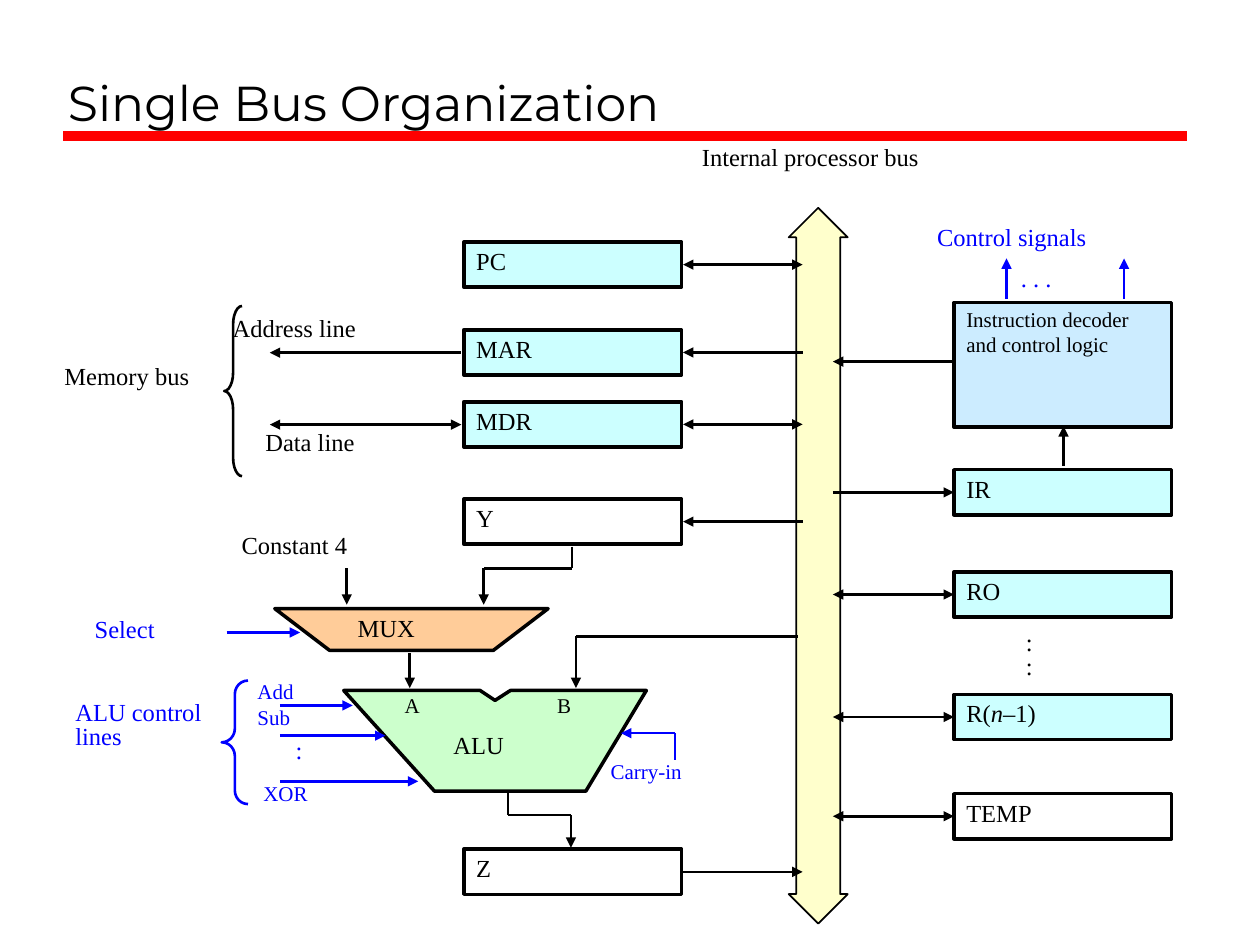
from dataclasses import dataclass

from lxml import etree
from pptx import Presentation
from pptx.dml.color import RGBColor
from pptx.enum.shapes import MSO_CONNECTOR, MSO_SHAPE
from pptx.enum.text import MSO_ANCHOR, PP_ALIGN
from pptx.oxml.ns import qn
from pptx.util import Cm, Pt

STRAIGHT = MSO_CONNECTOR.STRAIGHT
RECT, BRACE = MSO_SHAPE.RECTANGLE, MSO_SHAPE.LEFT_BRACE
BUS_ARROW, MUX_SHAPE = MSO_SHAPE.UP_DOWN_ARROW, MSO_SHAPE.FLOWCHART_MANUAL_OPERATION
TOP, BOTTOM, LEFT = MSO_ANCHOR.TOP, MSO_ANCHOR.BOTTOM, PP_ALIGN.LEFT


@dataclass(frozen=True)
class Theme:
    title_font: str = "Montserrat"
    body_font: str = "Times New Roman"
    title_size: int = 28
    body_size: int = 14
    small_size: int = 12
    ink: str = "000000"
    control: str = "0000FF"
    rule: str = "FF0000"
    bus: str = "FFFFCC"
    register: str = "CCFFFF"
    plain: str = "FFFFFF"
    decoder: str = "CCECFF"
    mux: str = "FFCC99"
    alu: str = "CCFFCC"
    outline: float = 2
    wire: float = 1.5


THEME = Theme()
BLOCK_W, BLOCK_H = 4.39, 0.91
BLOCK_INSET, LABEL_INSET = (0.25, 0.08), (0.03, 0.03)


def write(frame, text, size=THEME.body_size, color=THEME.ink, font=THEME.body_font,
          inset=BLOCK_INSET, spacing=None, anchor=TOP):
    frame.text = text
    frame.word_wrap = True
    frame.vertical_anchor = anchor
    frame.margin_left = frame.margin_right = Cm(inset[0])
    frame.margin_top = frame.margin_bottom = Cm(inset[1])
    for paragraph in frame.paragraphs:
        paragraph.alignment = LEFT
        if spacing:
            paragraph.line_spacing = spacing
        for run in paragraph.runs:
            style(run, size, color, font)


def style(run, size, color, font):
    run.font.size, run.font.name = Pt(size), font
    run.font.color.rgb = RGBColor.from_string(color)


def paint(shape, fill, color=THEME.ink, width=THEME.outline):
    shape.shadow.inherit = False
    if fill:
        shape.fill.solid()
        shape.fill.fore_color.rgb = RGBColor.from_string(fill)
    else:
        shape.fill.background()
    shape.line.color.rgb = RGBColor.from_string(color)
    shape.line.width = Pt(width)


@dataclass
class Region:
    """A box on the slide, in cm; its parts are placed from its top left corner."""
    shapes: object
    left: float
    top: float
    width: float
    height: float

    def at(self, x, y):
        return Cm(self.left + x), Cm(self.top + y)

    def shape(self, kind, x, y, w, h, fill, **line):
        part = self.shapes.add_shape(kind, *self.at(x, y), Cm(w), Cm(h))
        paint(part, fill, **line)
        return part

    def block(self, text, x, y, fill, h=BLOCK_H, size=THEME.body_size):
        part = self.shape(RECT, x, y, BLOCK_W, h, fill)
        write(part.text_frame, text, size)
        return part

    def label(self, text, x, y, w, h=0.58, inset=LABEL_INSET, spacing=0.8, **font):
        part = self.shapes.add_textbox(*self.at(x, y), Cm(w), Cm(h))
        write(part.text_frame, text, inset=inset, spacing=spacing, **font)

    def brace(self, x, y, w, h, curve, color=THEME.ink):
        part = self.shape(BRACE, x, y, w, h, None, color=color, width=THEME.wire)
        part.adjustments[0] = curve

    def wire(self, *points, ends="tail", color=THEME.ink, width=THEME.wire):
        """Straight runs through the points; ends names the arrowheads."""
        last = len(points) - 2
        for i, (start, end) in enumerate(zip(points, points[1:])):
            run = self.shapes.add_connector(STRAIGHT, *self.at(*start), *self.at(*end))
            run.line.color.rgb = RGBColor.from_string(color)
            run.line.width = Pt(width)
            line = run.line._get_or_add_ln()
            for name, here in (("head", i == 0), ("tail", i == last)):
                if here and name in ends.split():
                    etree.SubElement(line, qn(f"a:{name}End"), type="triangle")
            etree.SubElement(run._element.spPr, qn("a:effectLst"))


def draw_title(slide, box):
    title = slide.shapes.title
    title.left, title.top = box.at(0, 0)
    title.width, title.height = Cm(box.width), Cm(box.height)
    write(title.text_frame, "Single Bus Organization", THEME.title_size,
          font=THEME.title_font, inset=(0.25, 0.13), anchor=BOTTOM)
    box.wire((0.15, 2.31), (22.81, 2.31), ends="", color=THEME.rule, width=6)


def draw_bus(box):
    arrow = box.shape(BUS_ARROW, 1.78, 1.24, 1.19, 14.43, THEME.bus, width=1)
    arrow.adjustments[0], arrow.adjustments[1] = 0.506, 0.745
    box.label("Internal processor bus", 0, 0, box.width, 1.12)


def draw_registers(box):
    for name, y, fill, ends in (
            ("PC", 0, THEME.register, "head tail"),
            ("MAR", 1.77, THEME.register, "head"),
            ("MDR", 3.22, THEME.register, "head tail"),
            ("Y", 5.18, THEME.plain, "head"),
            ("Z", 12.24, THEME.plain, "tail")):
        box.block(name, 0, y, fill)
        middle = y + BLOCK_H / 2
        box.wire((BLOCK_W + 0.03, middle), (box.width, middle), ends=ends)


def draw_memory_bus(box):
    box.label("Memory bus", 0, 1.2, 3.4, 1.12)
    box.brace(3.25, 0, 0.36, 3.43, 1.036)
    box.label("Address line", 3.39, 0.22, 4.83)
    box.label("Data line", 4.05, 2.53, 3.91)
    for y, ends in ((0.94, "head"), (2.39, "head tail")):
        box.wire((4.17, y), (8.03, y), ends=ends)


def draw_alu(box):
    blue, small = THEME.control, THEME.small_size
    # Multiplexer and its inputs
    box.label("Constant 4", 3.35, 0.06, 3.91)
    box.shape(MUX_SHAPE, 4.05, 1.57, 5.51, 0.84, THEME.mux)
    box.label("MUX", 5.47, 1.57, 2.67, 0.84, BLOCK_INSET, None)
    box.wire((5.5, 0.76), (5.5, 1.49))
    box.wire((10.04, 0.32), (10.04, 0.76), (8.26, 0.76), (8.26, 1.49))
    box.label("Select", 0.39, 1.77, 2.97, color=blue)
    box.wire((3.08, 2.05), (4.56, 2.05), color=blue)

    # ALU body with a notch between the two inputs
    outline = [box.at(x, y) for x, y in (
        (11.54, 3.22), (10.32, 5.25), (7.27, 5.25), (5.44, 3.22),
        (8.19, 3.22), (8.49, 3.42), (8.8, 3.22))]
    builder = box.shapes.build_freeform(*outline[0])
    builder.add_line_segments(outline[1:], close=True)
    paint(builder.convert_to_shape(), THEME.alu)
    box.label("ALU", 7.4, 3.93, 2.67, 0.84, BLOCK_INSET, None)
    for name, x in (("A", 6.64), ("B", 9.71)):
        box.label(name, x, 3.24, 0.91, 0.64, spacing=None, size=small)

    # Data paths in and out
    box.wire((6.77, 2.46), (6.77, 3.17))
    box.wire((14.59, 2.13), (10.12, 2.13), (10.12, 3.17))
    box.wire((8.75, 5.25), (8.75, 5.73), (10.02, 5.73), (10.02, 6.39))

    # Control lines
    box.label("ALU control lines", 0, 3.44, 2.97, 1.63, color=blue)
    box.brace(2.98, 3.02, 0.53, 2.49, 0.514, blue)
    for name, x, text_y, line_y, end in (
            ("Add", 3.67, 3.04, 3.52, 5.62),
            ("Sub", 3.67, 3.57, 4.13, 6.28),
            ("XOR", 3.79, 5.1, 5.05, 6.94)):
        box.label(name, x, text_y, 1.52, 0.51, size=small, color=blue)
        box.wire((4.15, line_y), (end, line_y), color=blue)
    box.label(":", 4.44, 4.2, 1.37, color=blue)
    box.wire((12.12, 4.62), (12.12, 4.08), (11.03, 4.08), color=blue)
    box.label("Carry-in", 10.79, 4.65, 2.62, 0.51, size=small, color=blue)


def draw_control(box):
    blue, block_x = THEME.control, box.width - BLOCK_W
    # Decoder and control signals
    box.label("Control signals", 2.07, 0, 5.13, color=blue)
    box.label(". . .", 3.76, 0.82, 1.8, color=blue)
    for x in (3.5, 5.87):
        box.wire((x, 0.65), (x, 1.46), ends="head", color=blue)
    box.block("Instruction decoder and control logic", block_x, 1.54,
              THEME.decoder, 2.51, THEME.small_size)
    box.wire((0, 2.73), (block_x, 2.73), ends="head")
    box.wire((4.65, 4.03), (4.65, 4.84), ends="head")

    # Registers on the right of the bus
    for name, y, fill, ends in (
            ("IR", 4.91, THEME.register, "tail"),
            ("RO", 6.97, THEME.register, "head tail"),
            ("R(n–1)", 9.44, THEME.register, "head tail"),
            ("TEMP", 11.44, THEME.plain, "head tail")):
        block = box.block(name, block_x, y, fill)
        if "n" in name:
            italicise(block.text_frame.paragraphs[0], "n")
        middle = y + BLOCK_H / 2
        box.wire((0, middle), (block_x, middle), ends=ends)
    box.label(":\n:", 3.86, 8.17, 1.37, 1.12)


def italicise(paragraph, letter):
    first = paragraph.runs[0]
    before, after = first.text.split(letter)
    first.text = before
    for text in (letter, after):
        run = paragraph.add_run()
        run.text = text
        style(run, THEME.body_size, THEME.ink, THEME.body_font)
        run.font.italic = text == letter


def main():
    deck = Presentation()
    deck.slide_width, deck.slide_height = Cm(25.4), Cm(19.05)
    slide = deck.slides.add_slide(deck.slide_layouts[5])
    shapes = slide.shapes
    draw_title(slide, Region(shapes, 1.12, 0.43, 22.78, 2.34))
    draw_bus(Region(shapes, 14.12, 2.95, 4.83, 15.67))
    draw_registers(Region(shapes, 9.35, 4.88, 6.83, 13.15))
    draw_memory_bus(Region(shapes, 1.27, 6.17, 8.03, 3.43))
    draw_alu(Region(shapes, 1.49, 10.7, 14.59, 6.39))
    draw_control(Region(shapes, 16.79, 4.56, 6.83, 12.35))
    deck.save("out.pptx")


if __name__ == "__main__":
    main()
